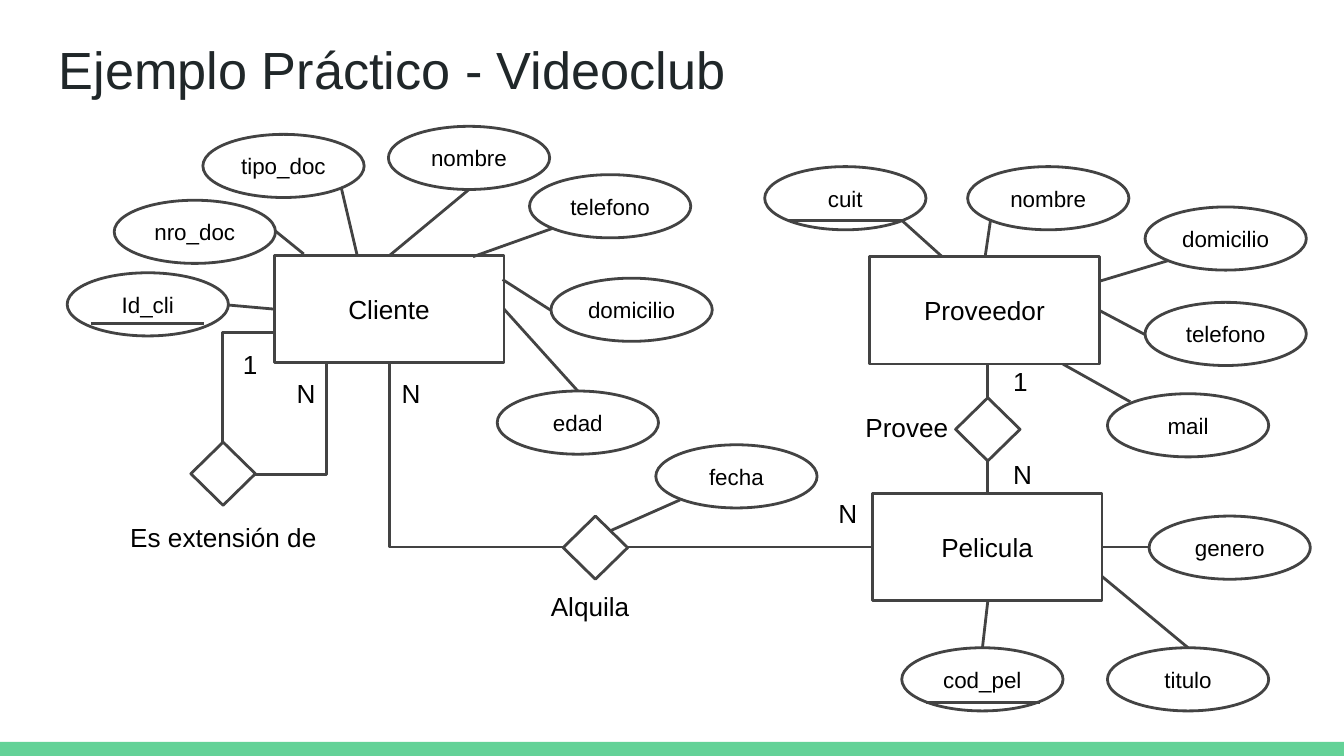
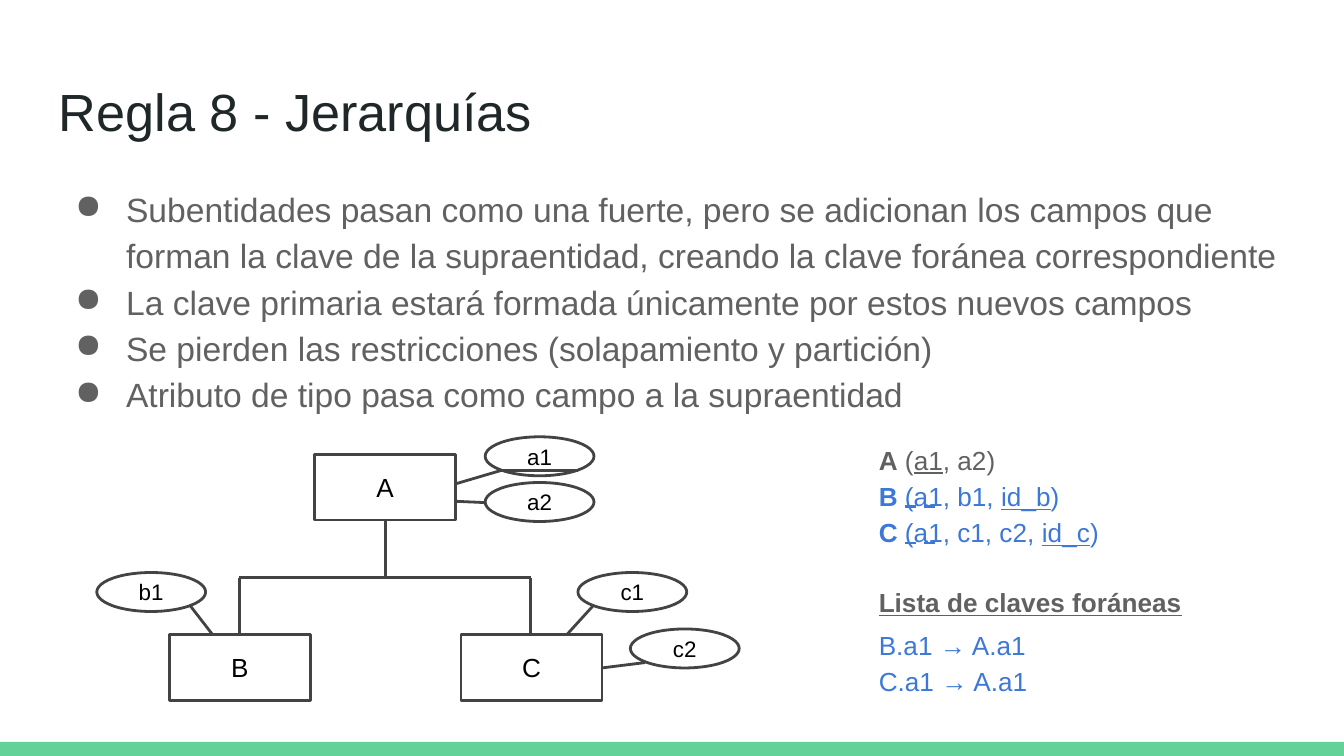
from lxml import etree
from pptx import Presentation
from pptx.dml.color import RGBColor
from pptx.enum import dml, shapes, text
from pptx.oxml.ns import qn
from pptx.util import Cm, Pt

FONT = "Arial"
GREEN = RGBColor(0x63, 0xD2, 0x97)
INK = RGBColor(0x20, 0x27, 0x29)
GRAY = RGBColor(0x61, 0x61, 0x61)
BLUE = RGBColor(0x3C, 0x78, 0xD8)
OUTLINE = RGBColor(0x43, 0x43, 0x43)
BLACK = RGBColor(0, 0, 0)

ENTITY = shapes.MSO_SHAPE.RECTANGLE
ATTRIBUTE = shapes.MSO_SHAPE.OVAL
RELATION = shapes.MSO_SHAPE.FLOWCHART_DECISION
ENTITY_SIZE = (1.71, 0.8)
ATTRIBUTE_SIZE = (1.2, 0.47)
RELATION_SIZE = (0.48, 0.47)
SMALL_ENTITY_SIZE = (1.05, 0.49)
SMALL_ATTRIBUTE_SIZE = (0.81, 0.29)
BREAK = "\n"


def inches(value):
    """Length in Cm for a value on the slide's inch grid."""
    return Cm(value * 2.54)


def write(frame, paragraphs, size=14, color=BLACK, align=None, anchor=None,
          inset=0.1, spacing=None, after=None, bullet=None):
    """Fill a text frame; a paragraph is a string or a list of (text, overrides)."""
    frame.word_wrap = True
    frame.margin_left = frame.margin_right = inches(inset)
    frame.margin_top = frame.margin_bottom = inches(inset)
    frame.vertical_anchor = anchor or text.MSO_ANCHOR.TOP
    for index, runs in enumerate(paragraphs):
        paragraph = frame.add_paragraph() if index else frame.paragraphs[0]
        paragraph.alignment = align
        if spacing:
            paragraph.line_spacing = spacing
        if after:
            paragraph.space_after = Pt(after)
        if bullet:
            add_bullet(paragraph, bullet, color)
        for content, style in [(runs, {})] if isinstance(runs, str) else runs:
            if content == BREAK:
                paragraph.add_line_break()
                continue
            run = paragraph.add_run()
            run.text = content
            run.font.name = FONT
            run.font.size = Pt(size)
            run.font.bold = style.get("bold", False)
            run.font.underline = style.get("underline", False)
            run.font.color.rgb = style.get("color", color)
        for line_break in paragraph._p.findall(qn("a:br")):
            etree.SubElement(line_break, qn("a:rPr"), sz=str(size * 100))


def add_bullet(paragraph, character, color):
    properties = paragraph._p.get_or_add_pPr()
    properties.set("marL", str(inches(0.5)))
    properties.set("indent", str(inches(-0.38)))
    bullet_color = etree.SubElement(properties, qn("a:buClr"))
    etree.SubElement(bullet_color, qn("a:srgbClr"), val=str(color))
    etree.SubElement(properties, qn("a:buChar"), char=character)


def add_text(slide, left, top, width, height, paragraphs, **style):
    box = slide.shapes.add_textbox(*map(inches, (left, top, width, height)))
    write(box.text_frame, paragraphs, **style)


def add_node(slide, kind, left, top, size, label="", font_size=14):
    """Draw an outlined entity, attribute or relation."""
    shape = slide.shapes.add_shape(kind, *map(inches, (left, top, *size)))
    shape.shadow.inherit = False
    shape.fill.background()
    shape.line.color.rgb = OUTLINE
    shape.line.width = Pt(1.5)
    if label:
        write(shape.text_frame, [label], size=font_size, inset=0,
              align=text.PP_ALIGN.CENTER, anchor=text.MSO_ANCHOR.MIDDLE)


def add_nodes(slide, kind, size, font_size, nodes):
    for label, left, top in nodes:
        add_node(slide, kind, left, top, size, label, font_size)


def add_line(slide, x1, y1, x2, y2, kind=shapes.MSO_CONNECTOR.STRAIGHT,
             color=OUTLINE, dash=None):
    line = slide.shapes.add_connector(kind, *map(inches, (x1, y1, x2, y2)))
    line.line.color.rgb = color
    line.line.width = Pt(1.5)
    if dash:
        line.line.dash_style = dash
    etree.SubElement(line._element.spPr, qn("a:effectLst"))
    return line


def add_elbow(slide, left, top, width, height, rotation=0, flip=False, bend=None):
    """Draw a bent connector; without a bend position it has a single corner."""
    line = add_line(slide, left, top, left + width, top + height,
                    shapes.MSO_CONNECTOR.ELBOW)
    frame = line._element.spPr.find(qn("a:xfrm"))
    frame.set("rot", str(rotation * 60000))
    if flip:
        frame.set("flipH", "1")
    geometry = line._element.spPr.find(qn("a:prstGeom"))
    if bend is None:
        geometry.set("prst", "bentConnector2")
    else:
        guides = geometry.find(qn("a:avLst"))
        etree.SubElement(guides, qn("a:gd"), name="adj1",
                         fmla=f"val {round(bend * 100000)}")


def add_base(presentation, title, title_top):
    """Add a slide with the green footer band and its title."""
    slide = presentation.slides.add_slide(presentation.slide_layouts[6])
    band = slide.shapes.add_shape(ENTITY, *map(inches, (0, 5.52, 10, 0.11)))
    band.shadow.inherit = False
    band.fill.solid()
    band.fill.fore_color.rgb = GREEN
    band.line.fill.background()
    add_text(slide, 0.34, title_top, 9.32, 0.63, [title], size=28, color=INK)
    return slide


def build_videoclub(presentation):
    slide = add_base(presentation, "Ejemplo Práctico - Videoclub", 0.18)
    add_nodes(slide, ENTITY, ENTITY_SIZE, 14, [
        ("Cliente", 2.04, 1.9), ("Proveedor", 6.47, 1.91), ("Pelicula", 6.49, 3.67)])
    add_nodes(slide, ATTRIBUTE, ATTRIBUTE_SIZE, 12, [
        ("Id_cli", 0.5, 2.03), ("nro_doc", 0.85, 1.49), ("tipo_doc", 1.51, 1),
        ("nombre", 2.89, 0.94), ("telefono", 3.94, 1.3), ("domicilio", 4.1, 2.07),
        ("edad", 3.7, 2.91), ("fecha", 4.88, 3.31),
        ("cuit", 5.69, 1.24), ("nombre", 7.2, 1.24), ("domicilio", 8.52, 1.54),
        ("telefono", 8.52, 2.25), ("mail", 8.24, 2.93),
        ("genero", 8.55, 3.84), ("titulo", 8.24, 4.82), ("cod_pel", 6.71, 4.82)])
    add_nodes(slide, RELATION, RELATION_SIZE, 14, [
        ("", 7.11, 2.96), ("", 4.19, 3.84), ("", 1.42, 3.29)])

    client_links = [
        (1.7, 2.27, 2.04, 2.3), (2.05, 1.72, 2.26, 1.89), (2.54, 1.4, 2.66, 1.91),
        (3.49, 1.41, 2.9, 1.9), (3.52, 1.91, 4.11, 1.7), (3.74, 2.08, 4.1, 2.31),
        (4.3, 2.91, 3.75, 2.3)]
    supplier_links = [
        (6.71, 1.64, 7.01, 1.91), (7.33, 1.91, 7.37, 1.64), (8.69, 1.94, 8.19, 2.09),
        (8.18, 2.31, 8.52, 2.49), (8.41, 2.99, 7.91, 2.71)]
    film_links = [
        (8.21, 4.07, 8.55, 4.07), (8.84, 4.82, 8.2, 4.29), (7.31, 4.82, 7.35, 4.47)]
    relation_links = [
        (7.35, 2.96, 7.35, 2.71), (7.35, 3.43, 7.35, 3.67), (4.54, 3.95, 5.06, 3.72)]
    key_marks = [
        (0.68, 2.41, 1.52, 2.41), (5.86, 1.64, 6.71, 1.64), (6.89, 5.23, 7.74, 5.23)]
    for ends in client_links + supplier_links + film_links + relation_links + key_marks:
        add_line(slide, *ends)

    add_elbow(slide, 2.86, 2.74, 1.37, 1.29, rotation=270, flip=True)
    add_elbow(slide, 4.67, 4.07, 1.82, 0, bend=0.5)
    add_elbow(slide, 1.46, 2.71, 0.78, 0.39, rotation=90, bend=-0.05)
    add_elbow(slide, 1.9, 2.71, 0.53, 0.82, rotation=180, flip=True)

    for label, left, top, width, height in [
            ("Alquila", 4, 4.29, 6, 0.7), ("Provee", 6.34, 2.96, 0.85, 0.35),
            ("Es extensión de", 0.87, 3.78, 1.65, 0.43)]:
        add_text(slide, left, top, width, height, [label])
    for cardinality, left, top in [
            ("N", 6.14, 3.6), ("1", 7.44, 2.62), ("N", 7.44, 3.31),
            ("N", 2.89, 2.71), ("N", 2.11, 2.71), ("1", 1.71, 2.49)]:
        add_text(slide, left, top, 0.3, 0.47, [cardinality])


def build_hierarchies(presentation):
    slide = add_base(presentation, "Regla 8 - Jerarquías", 0.49)
    add_text(slide, 0.34, 1.26, 9.4, 0.55, [
        "Subentidades pasan como una fuerte, pero se adicionan los campos que "
        "forman la clave de la supraentidad, creando la clave foránea correspondiente",
        "La clave primaria estará formada únicamente por estos nuevos campos",
        "Se pierden las restricciones (solapamiento y partición)",
        "Atributo de tipo pasa como campo a la supraentidad",
    ], size=18, color=GRAY, spacing=1.15, bullet="●")

    blue = {"color": BLUE}
    bold_blue = {"color": BLUE, "bold": True}
    key_blue = {"color": BLUE, "underline": True}
    relations = [
        ("A", {"bold": True}), (" (", {}), ("a1", {"underline": True}), (", a2)", {}),
        (BREAK, {}),
        ("B", bold_blue), (" (a1, b1, ", blue), ("id_b", key_blue), (")", blue),
        (BREAK, {}),
        ("C", bold_blue), (" (a1, c1, c2, ", blue), ("id_c", key_blue), (")", blue)]
    foreign_keys = [("B.a1 → A.a1", blue), (BREAK, {}), ("C.a1 → A.a1", blue)]
    heading = [("Lista de claves foráneas", {"bold": True, "underline": True})]
    for top, runs in [(3.17, relations), (4.55, foreign_keys), (4.23, heading)]:
        add_text(slide, 6.44, top, 3.01, 0.55, [runs], color=GRAY,
                 spacing=1.15, after=16)

    add_nodes(slide, ENTITY, SMALL_ENTITY_SIZE, 14, [
        ("A", 2.34, 3.38), ("B", 1.26, 4.72), ("C", 3.43, 4.72)])
    add_nodes(slide, ATTRIBUTE, SMALL_ATTRIBUTE_SIZE, 12, [
        ("a1", 3.61, 3.25), ("a2", 3.61, 3.59), ("b1", 0.72, 4.26),
        ("c1", 4.3, 4.26), ("c2", 4.69, 4.68)])
    tree = [(2.87, 3.87, 2.87, 4.29), (1.78, 4.3, 3.95, 4.3),
            (1.78, 4.3, 1.78, 4.72), (3.95, 4.3, 3.95, 4.72)]
    attribute_links = [
        (3.39, 3.6, 3.73, 3.5), (3.39, 3.73, 3.61, 3.74), (1.41, 4.5, 1.58, 4.72),
        (4.42, 4.5, 4.22, 4.72), (4.48, 4.97, 4.8, 4.93)]
    key_mark = (3.73, 3.5, 4.3, 3.5)
    for ends in tree + attribute_links + [key_mark]:
        add_line(slide, *ends)
    for y in (3.77, 4.04):
        add_line(slide, 6.73, y, 7.02, y, color=BLUE, dash=dml.MSO_LINE.DASH)


def main():
    presentation = Presentation()
    presentation.slide_width = inches(10)
    presentation.slide_height = inches(5.625)
    build_videoclub(presentation)
    build_hierarchies(presentation)
    presentation.save("out.pptx")


if __name__ == "__main__":
    main()
